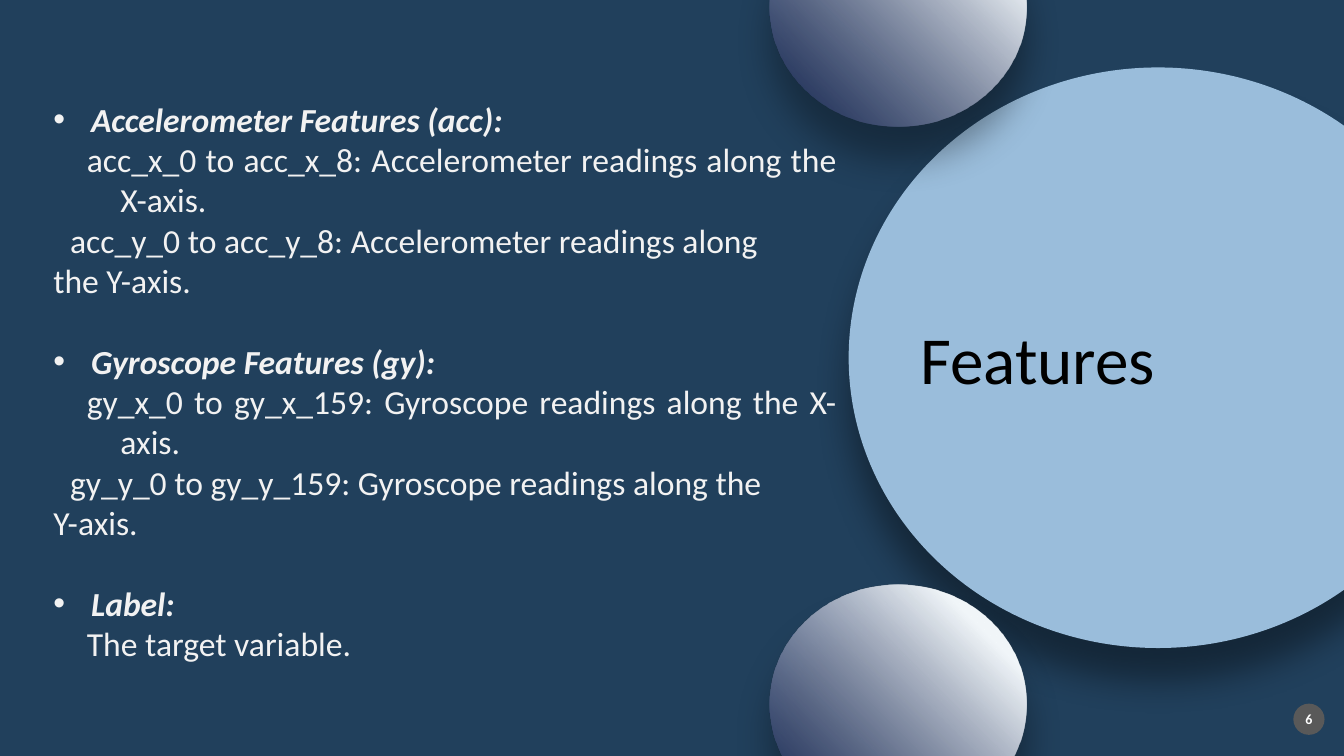
from lxml import etree
from pptx import Presentation
from pptx import util as u
from pptx.dml.color import RGBColor
from pptx.enum import shapes, text
from pptx.oxml import parse_xml
from pptx.oxml.ns import nsdecls, qn

COLORS = {
    "background": "21405C",
    "badge": "595959",
    "disc": "9ABDDB",
    "glow": "F2F7FA",
    "navy": "0D1D51",
    "body": "F2F2F2",
    "white": "FFFFFF",
    "black": "000000",
}
FONT = "Calibri"
LINE_HEIGHT = 28.8
HEADING_INDENT = 27
ITEM_INDENT = 24

FEATURES = [
    ("Accelerometer Features (acc):",
     "acc_x_0 to acc_x_8: Accelerometer readings along the X-axis.",
     "acc_y_0 to acc_y_8: Accelerometer readings along\vthe Y-axis."),
    ("Gyroscope Features (gy):",
     "gy_x_0 to gy_x_159: Gyroscope readings along the X-axis.",
     "gy_y_0 to gy_y_159: Gyroscope readings along the\vY-axis."),
    ("Label:", "The target variable."),
]


def rgb(name):
    return RGBColor.from_string(COLORS[name])


def points(box):
    return [u.Pt(length) for length in box]


def format_runs(paragraph, size, color, bold=False, italic=False):
    for run in paragraph.runs:
        run.font.name = FONT
        run.font.size = u.Pt(size)
        run.font.bold = bold
        run.font.italic = italic
        run.font.color.rgb = rgb(color)


def add_circle(slide, box, color):
    shape = slide.shapes.add_shape(shapes.MSO_SHAPE.OVAL, *points(box))
    shape.fill.solid()
    shape.fill.fore_color.rgb = rgb(color)
    shape.line.fill.background()
    shape.shadow.inherit = False
    return shape


def add_shadow(shape):
    effects = shape._element.spPr.find(qn("a:effectLst"))
    effects.append(parse_xml(
        f'<a:outerShdw {nsdecls("a")} blurRad="{u.Pt(26)}" dist="{u.Pt(24)}" '
        f'dir="5400000" algn="ctr" rotWithShape="0">'
        f'<a:srgbClr val="{COLORS["black"]}"><a:alpha val="39000"/></a:srgbClr>'
        f'</a:outerShdw>'))


def add_sphere(slide, box):
    shape = add_circle(slide, box, "navy")
    add_shadow(shape)
    properties = shape._element.spPr
    properties.replace(properties.find(qn("a:solidFill")), parse_xml(
        f'<a:gradFill {nsdecls("a")} rotWithShape="1"><a:gsLst>'
        f'<a:gs pos="18000"><a:srgbClr val="{COLORS["glow"]}"/></a:gs>'
        f'<a:gs pos="100000"><a:srgbClr val="{COLORS["navy"]}">'
        f'<a:alpha val="71000"/></a:srgbClr></a:gs></a:gsLst>'
        f'<a:path path="circle"><a:fillToRect l="100000" b="100000"/></a:path>'
        f'</a:gradFill>'))


def add_page_badge(slide, box, number):
    frame = add_circle(slide, box, "badge").text_frame
    frame.margin_left = frame.margin_right = 0
    frame.margin_top = frame.margin_bottom = 0
    frame.vertical_anchor = text.MSO_ANCHOR.MIDDLE
    frame.word_wrap = False
    frame.text = number
    paragraph = frame.paragraphs[0]
    paragraph.alignment = text.PP_ALIGN.CENTER
    format_runs(paragraph, 10, "white", bold=True)


def add_title_disc(slide, box, title):
    left, top, width, height = box
    add_shadow(add_circle(slide, box, "disc"))
    title_box = (left + 44, top + 175, 310, 65.5)
    frame = slide.shapes.add_textbox(*points(title_box)).text_frame
    frame.word_wrap = True
    frame.text = title
    format_runs(frame.paragraphs[0], 48, "black")


def set_indent(paragraph, margin, first_line):
    properties = paragraph._p.get_or_add_pPr()
    properties.set("marL", str(u.Pt(margin)))
    properties.set("indent", str(u.Pt(first_line)))
    return properties


def add_bullet(paragraph):
    properties = set_indent(paragraph, HEADING_INDENT, -HEADING_INDENT)
    font = etree.SubElement(properties, qn("a:buFont"))
    font.set("typeface", "Arial")
    etree.SubElement(properties, qn("a:buChar")).set("char", "•")


def add_feature_list(slide, box, groups):
    frame = slide.shapes.add_textbox(*points(box)).text_frame
    frame.word_wrap = True
    rows = [(position, line, group) for group, lines in enumerate(groups)
            for position, line in enumerate(lines)]
    for position, line, group in rows:
        is_heading = position == 0
        is_first = is_heading and group == 0
        paragraph = frame.paragraphs[0] if is_first else frame.add_paragraph()
        paragraph.text = line
        paragraph.line_spacing = u.Pt(LINE_HEIGHT)
        paragraph.alignment = text.PP_ALIGN.JUSTIFY
        if is_heading:
            paragraph.space_before = u.Pt(0 if is_first else LINE_HEIGHT)
            add_bullet(paragraph)
        elif position == 1:
            set_indent(paragraph, 2 * ITEM_INDENT, -ITEM_INDENT)
        else:
            paragraph.alignment = text.PP_ALIGN.LEFT
            set_indent(paragraph, 0, ITEM_INDENT / 2)
        format_runs(paragraph, 24, "body", bold=is_heading, italic=is_heading)


def build_features_slide(presentation):
    slide = presentation.slides.add_slide(presentation.slide_layouts[6])
    slide.background.fill.solid()
    slide.background.fill.fore_color.rgb = rgb("background")
    add_page_badge(slide, (923.8, 502.6, 22.3, 22.3), "6")
    add_title_disc(slide, (606.2, 48.2, 442, 414.7), "Features")
    for top in (417.6, -79.9):
        add_sphere(slide, (550, top, 182.9, 170.6))
    add_feature_list(slide, (31, 67, 573.8, 443.5), FEATURES)


def main():
    presentation = Presentation()
    presentation.slide_width = u.Pt(960)
    presentation.slide_height = u.Pt(540)
    build_features_slide(presentation)
    presentation.save("out.pptx")


if __name__ == "__main__":
    main()
